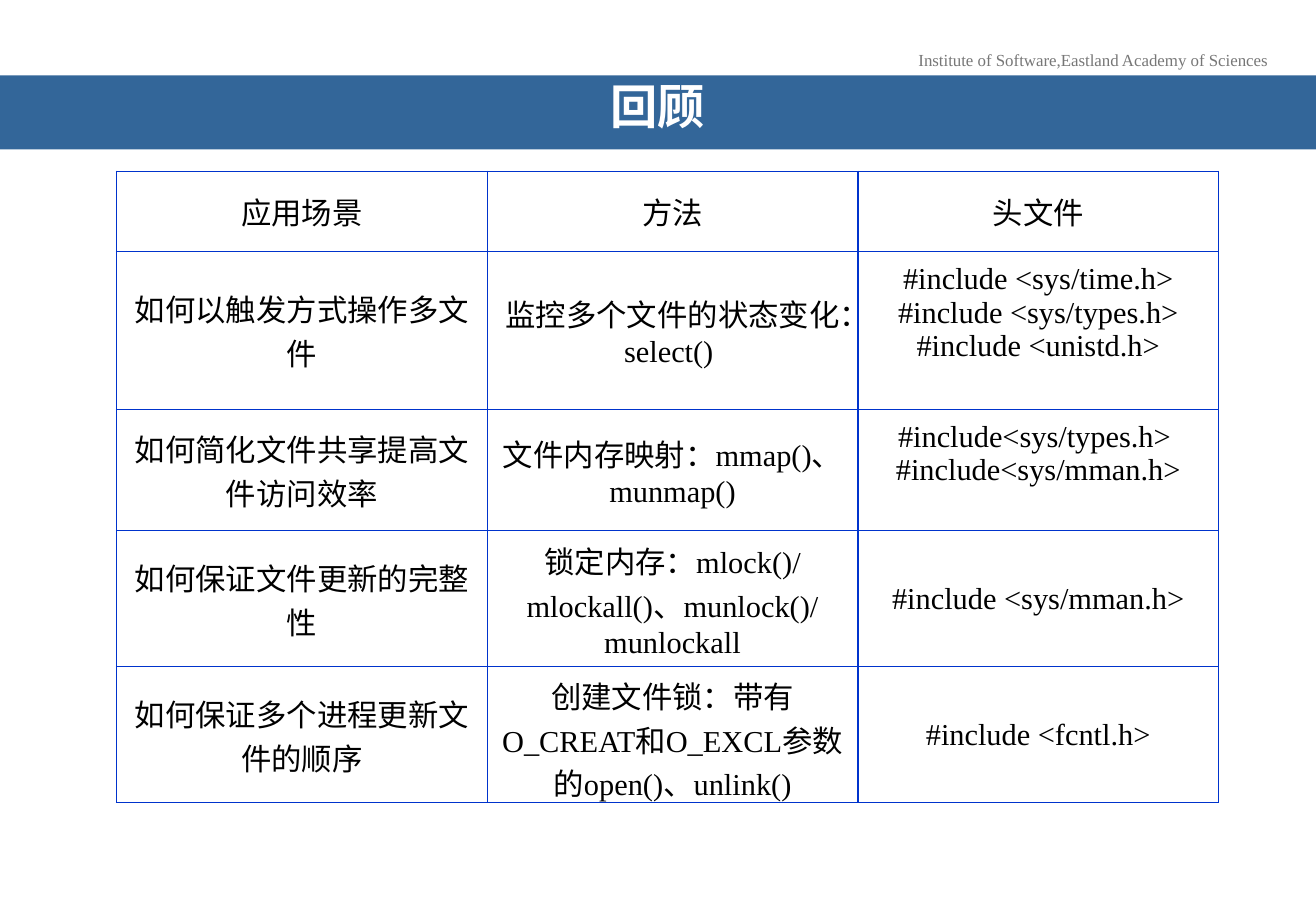
from lxml import etree
from pptx import Presentation
from pptx.dml.color import RGBColor
from pptx.enum.text import MSO_ANCHOR, MSO_AUTO_SIZE, PP_ALIGN
from pptx.oxml.ns import qn
from pptx.util import Inches, Pt

CENTER = PP_ALIGN.CENTER
MIDDLE, TOP = MSO_ANCHOR.MIDDLE, MSO_ANCHOR.TOP
SERIF = "Times New Roman"
COLS = [3.05, 3.05, 2.97]
ROWS = [
    (0.66, ["应用场景", "方法", "头文件"]),
    (1.3, ["如何以触发方式操作多文件", "监控多个文件的状态变化：select() ",
           "#include <sys/time.h>\n#include <sys/types.h>\n#include <unistd.h>"]),
    (1, ["如何简化文件共享提高文件访问效率", "文件内存映射：mmap()、munmap()",
         "#include<sys/types.h> \n#include<sys/mman.h>"]),
    (1.12, ["如何保证文件更新的完整性",
            "锁定内存：mlock()/mlockall()、munlock()/munlockall",
            "#include <sys/mman.h>"]),
    (1.12, ["如何保证多个进程更新文件的顺序",
            "创建文件锁：带有O_CREAT和O_EXCL参数的open()、unlink()",
            "#include <fcntl.h>"]),
]


def style_text(tf, size, color, font=SERIF, bold=False):
    """Centre every paragraph and format its runs."""
    for p in tf.paragraphs:
        p.alignment = CENTER
        for r in p.runs:
            r.font.size = Pt(size)
            r.font.name = font
            r.font.bold = bold
            r.font.color.rgb = RGBColor.from_string(color)


def add_borders(cell, color, width):
    """Draw a solid line on all four sides of a cell."""
    tcPr = cell._tc.get_or_add_tcPr()
    for side in ("lnL", "lnR", "lnT", "lnB"):
        ln = etree.SubElement(tcPr, qn(f"a:{side}"), w=str(Pt(width)))
        fill = etree.SubElement(ln, qn("a:solidFill"))
        etree.SubElement(fill, qn("a:srgbClr"), val=color)


prs = Presentation()
prs.slide_width, prs.slide_height = Inches(10.83), Inches(7.5)
s = prs.slides.add_slide(prs.slide_layouts[5])

# Institute line above the title band
sp = s.shapes.add_textbox(Inches(7.46), Inches(0.36), Inches(3.07), Inches(0.27))
tf = sp.text_frame
tf.word_wrap = False
tf.text = "Institute of Software,Eastland Academy of Sciences"
style_text(tf, 10, "777777")

# Title band
title = s.shapes.title
title.left, title.top = Inches(0), Inches(0.62)
title.width, title.height = prs.slide_width, Inches(0.61)
title.fill.solid()
title.fill.fore_color.rgb = RGBColor.from_string("336699")
tf = title.text_frame
tf.auto_size = MSO_AUTO_SIZE.NONE
tf.vertical_anchor = MIDDLE
tf.margin_left = tf.margin_right = Inches(0.31)
tf.text = "回顾"
tf.paragraphs[0].line_spacing = 0.7
style_text(tf, 28, "FFFFFF", "Arial Narrow", True)

# Review table
table = s.shapes.add_table(len(ROWS), len(COLS), Inches(0.96), Inches(1.41),
                           Inches(sum(COLS)), Inches(5.2)).table
table.first_row = table.horz_banding = False
for column, width in zip(table.columns, COLS):
    column.width = Inches(width)
for row, (height, texts) in zip(table.rows, ROWS):
    row.height = Inches(height)
    for cell, text in zip(row.cells, texts):
        cell.text = text
        style_text(cell.text_frame, 18, "000000")
        add_borders(cell, "0033CC", 1)
        cell.fill.background()
        cell.vertical_anchor = MIDDLE
        if "\n" in text:  # header lists start at the top of their cell
            cell.vertical_anchor = TOP
            cell.margin_top = Inches(0.09)

prs.save("out.pptx")
